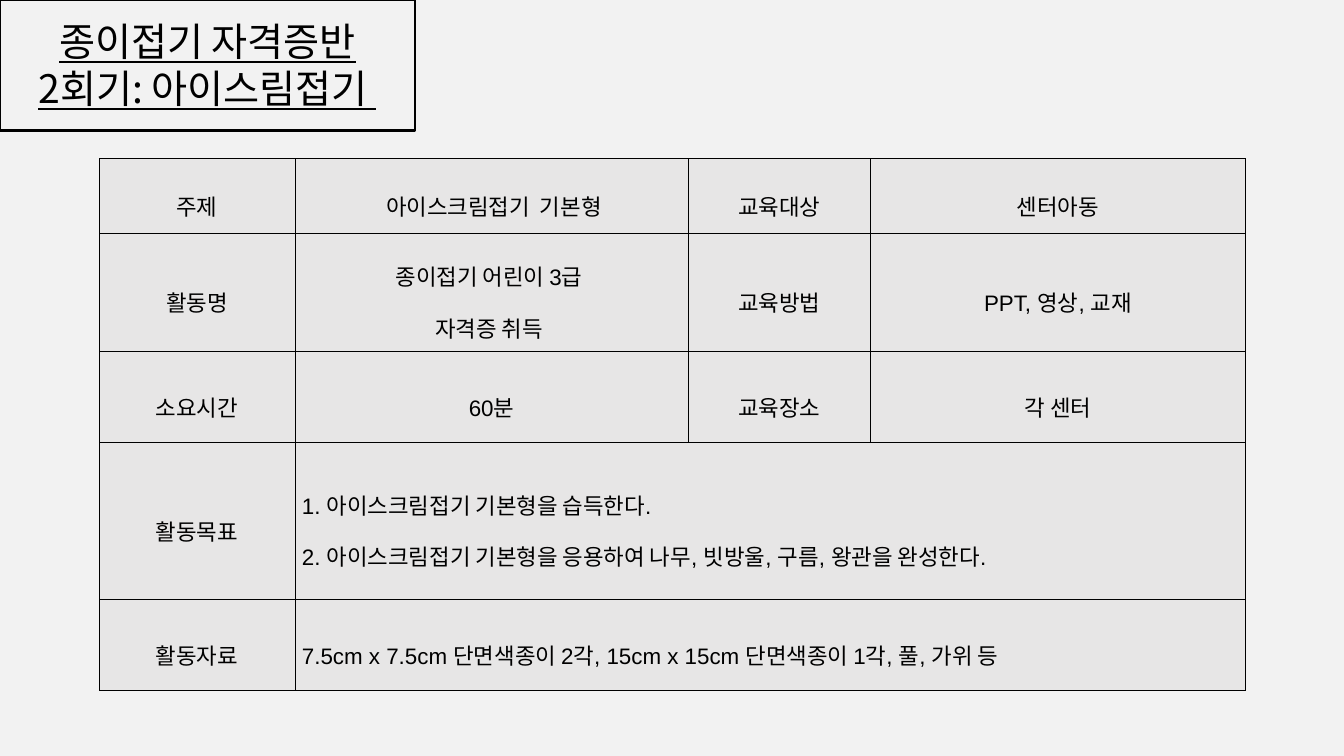
from pptx import Presentation
from pptx import util as u
from pptx.dml.color import RGBColor
from pptx.enum import shapes, text
from pptx.oxml.ns import qn
from lxml import etree

KOREAN = "Noto Sans CJK KR"
CENTER, LEFT = text.PP_ALIGN.CENTER, text.PP_ALIGN.LEFT
TITLE = ["종이접기 자격증반", "2회기: 아이스림접기 "]
COLS = [4.93, 9.91, 4.6, 9.45]
ROWS = [
    (1.88, ["주제", " 아이스크림접기  기본형", "교육대상", "센터아동"]),
    (2.97, ["활동명", "종이접기 어린이 3급 \n자격증 취득 ", "교육방법", "PPT, 영상, 교재"]),
    (2.31, ["소요시간", "60분", "교육장소", "각 센터"]),
    (3.94, ["활동목표", "1. 아이스크림접기 기본형을 습득한다.\n"
            "2. 아이스크림접기 기본형을 응용하여 나무, 빗방울, 구름, 왕관을 완성한다."]),
    (2.31, ["활동자료", "7.5cm x 7.5cm 단면색종이 2각, 15cm x 15cm 단면색종이 1각, 풀, 가위 등"]),
]


def rgb(value):
    return RGBColor.from_string(value)


def write(tf, lines, size, font, align=CENTER, spacing=None, underline=None):
    for i, line in enumerate(lines):
        p = tf.add_paragraph() if i else tf.paragraphs[0]
        p.alignment = align
        p.line_spacing = spacing
        r = p.add_run()
        r.text = line
        r.font.size = u.Pt(size)
        r.font.name = font
        r.font.underline = underline
        r.font.color.rgb = rgb("000000")
        etree.SubElement(r.font._element, qn("a:ea"), typeface=KOREAN)


def add_borders(cell, color, width):
    tcPr = cell._tc.get_or_add_tcPr()
    for i, side in enumerate(("lnL", "lnR", "lnT", "lnB")):
        ln = etree.Element(qn(f"a:{side}"), w=str(u.Pt(width)))
        fill = etree.SubElement(ln, qn("a:solidFill"))
        etree.SubElement(fill, qn("a:srgbClr"), val=color)
        tcPr.insert(i, ln)


def title_box(s, x, y, w, h):
    group = s.shapes.add_group_shape()
    pad = 0.28
    sp = group.shapes.add_textbox(u.Cm(x + pad), u.Cm(y + 0.3), u.Cm(w - 2 * pad), u.Cm(2.64))
    tf = sp.text_frame
    tf.word_wrap = True
    write(tf, TITLE, 28, KOREAN, underline=True)
    frame = group.shapes.add_shape(shapes.MSO_SHAPE.RECTANGLE, u.Cm(x), u.Cm(y), u.Cm(w), u.Cm(h))
    frame.shadow.inherit = False
    frame.fill.background()
    frame.line.color.rgb = rgb("000000")
    frame.line.width = u.Pt(2)


def plan_table(s, x, y, w, h):
    table = s.shapes.add_table(len(ROWS), len(COLS), u.Cm(x), u.Cm(y), u.Cm(w), u.Cm(h)).table
    for column, width in zip(table.columns, COLS):
        column.width = u.Cm(width)
    for i, (height, entries) in enumerate(ROWS):
        table.rows[i].height = u.Cm(height)
        wide = len(entries) == 2
        if wide:
            table.cell(i, 1).merge(table.cell(i, 3))
        for j, cell in enumerate(table.rows[i].cells):
            cell.fill.solid()
            cell.fill.fore_color.rgb = rgb("E7E6E6")
            add_borders(cell, "000000", 0.28)
            cell.vertical_anchor = text.MSO_ANCHOR.MIDDLE
            cell.margin_left = cell.margin_right = u.Cm(0.18)
            cell.margin_top = cell.margin_bottom = u.Cm(0.05)
            if j < len(entries):
                align = LEFT if wide and j else CENTER
                write(cell.text_frame, entries[j].split("\n"), 16, "Arial", align, 1.6)


def main():
    prs = Presentation()
    prs.slide_width, prs.slide_height = u.Cm(33.87), u.Cm(19.05)
    s = prs.slides.add_slide(prs.slide_layouts[6])
    s.background.fill.solid()
    s.background.fill.fore_color.rgb = rgb("F2F2F2")
    title_box(s, 0, 0, 10.46, 3.3)
    plan_table(s, 2.5, 3.99, sum(COLS), sum(height for height, _ in ROWS))
    prs.save("out.pptx")


if __name__ == "__main__":
    main()
